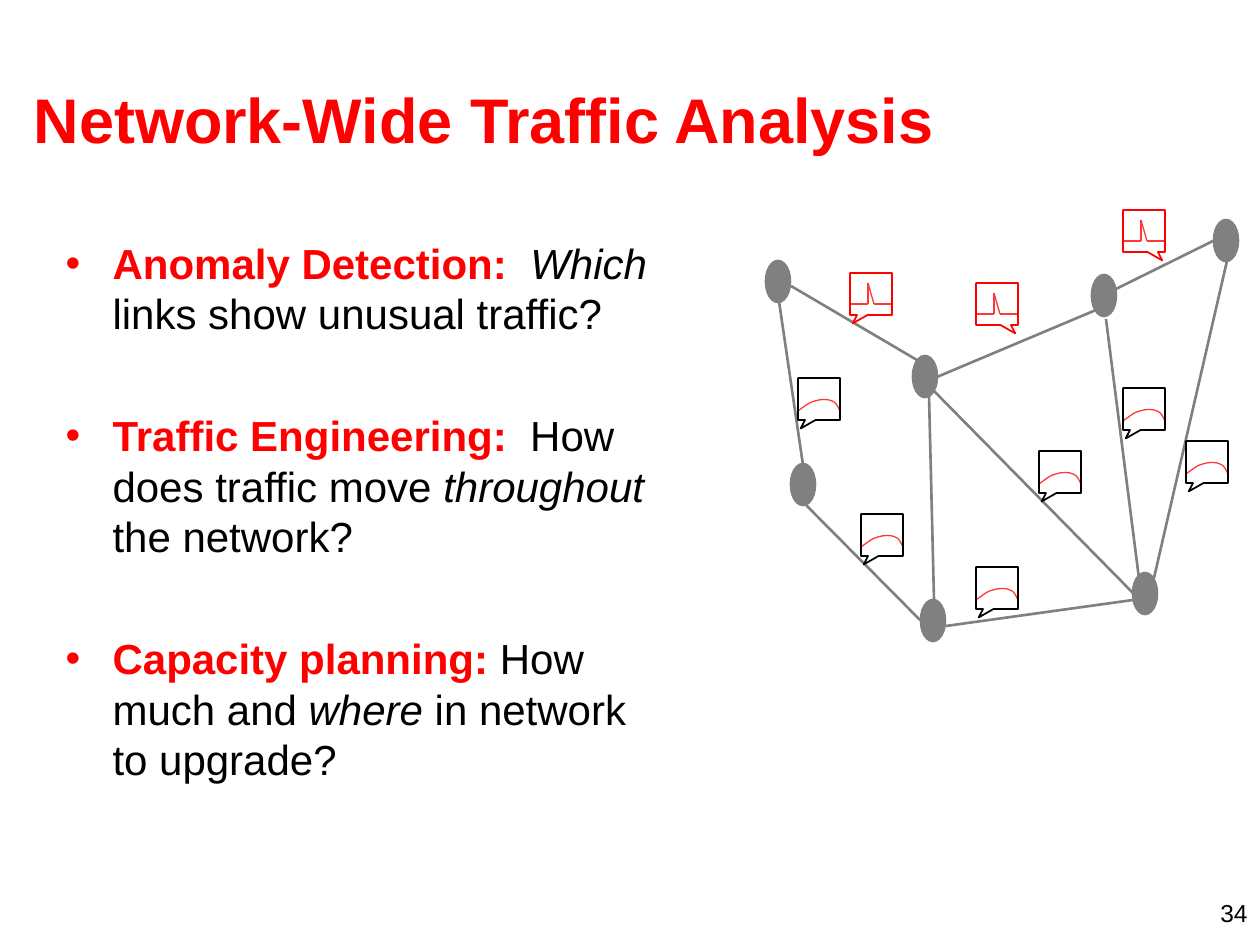
from itertools import pairwise
from typing import NamedTuple

from lxml.etree import SubElement
from pptx import Presentation
from pptx.dml.color import RGBColor
from pptx.enum.shapes import MSO_CONNECTOR as Connector, MSO_SHAPE as Shape
from pptx.enum.text import MSO_ANCHOR as Anchor, MSO_AUTO_SIZE as AutoSize, PP_ALIGN as Align
from pptx.oxml.ns import qn
from pptx.util import Emu, Pt

PX_PER_INCH = 126
FONT = "Arial"
COLORS = {"red": "FF0000", "black": "000000", "gray": "808080", "white": "FFFFFF"}
MONITOR_SIZE = 42
NODE_WIDTH, NODE_HEIGHT = 24, 41

# Traffic traces, relative to the top left corner of a monitor
SPIKE = [(0, 31), (18, 31), (18, 10), (24, 31), (42, 31)]
# A start point, then three Bezier points for each segment
CURVE = [
    (0, 33),
    (6, 29), (11, 24), (17, 23),
    (23, 21), (30, 21), (34, 23),
    (38, 24), (40, 29), (42, 33),
]


class Link(NamedTuple):
    x1: int
    y1: int
    x2: int
    y2: int


class Node(NamedTuple):
    left: int
    top: int


class Monitor(NamedTuple):
    left: int
    top: int
    anomalous: bool = False
    points_right: bool = False


class Span(NamedTuple):
    text: str
    style: str = "plain"


LINKS = [
    Link(779, 301, 803, 465), Link(806, 505, 920, 620), Link(917, 360, 791, 286),
    Link(1096, 310, 937, 377), Link(1227, 261, 1154, 578), Link(929, 394, 934, 599),
    Link(934, 391, 1133, 593), Link(1116, 289, 1213, 241), Link(1106, 319, 1140, 586),
    Link(946, 626, 1133, 600),
]
NODES = [
    Node(766, 261), Node(913, 356), Node(1092, 275), Node(1214, 220),
    Node(791, 464), Node(921, 600), Node(1133, 573),
]
MONITORS = [
    Monitor(850, 273, anomalous=True),
    Monitor(1123, 210, anomalous=True, points_right=True),
    Monitor(798, 378), Monitor(976, 567), Monitor(1123, 388),
    Monitor(1039, 451), Monitor(861, 514), Monitor(1186, 441),
    Monitor(976, 283, anomalous=True, points_right=True),
]
TOPICS = [
    [Span("Anomaly Detection:  ", "heading"), Span("Which", "italic"),
     Span(" links show unusual traffic?")],
    [Span("Traffic Engineering:", "heading"), Span("  How does traffic move "),
     Span("throughout", "italic"), Span(" the network?")],
    [Span("Capacity planning:", "heading"), Span(" How much and "),
     Span("where", "italic"), Span(" in network to upgrade?")],
]


def px(value: int) -> Emu:
    return Emu(round(value * 914400 / PX_PER_INCH))


def rgb(name: str) -> RGBColor:
    return RGBColor.from_string(COLORS[name])


def place(shape, left: int, top: int, width: int, height: int) -> None:
    shape.left, shape.top = px(left), px(top)
    shape.width, shape.height = px(width), px(height)


def set_font(font, size: int, color: str) -> None:
    font.name, font.size, font.color.rgb = FONT, Pt(size), rgb(color)


def set_line(shape, color: str, width: float) -> None:
    shape.line.color.rgb = rgb(color)
    shape.line.width = Pt(width)


def draw_line(shapes, link: Link, color: str, width: float) -> None:
    connector = shapes.add_connector(Connector.STRAIGHT, *map(px, link))
    set_line(connector, color, width)
    SubElement(connector._element.spPr, qn("a:effectLst"))


def draw_node(shapes, node: Node) -> None:
    ellipse = shapes.add_shape(Shape.OVAL, *map(px, (*node, NODE_WIDTH, NODE_HEIGHT)))
    ellipse.shadow.inherit = False
    ellipse.fill.solid()
    ellipse.fill.fore_color.rgb = rgb("gray")
    set_line(ellipse, "gray", 1.5)


def draw_network(shapes) -> None:
    group = shapes.add_group_shape().shapes
    for link in LINKS:
        draw_line(group, link, "gray", 1.5)
    for node in NODES:
        draw_node(group, node)


def draw_curve(shapes, left: int, top: int) -> None:
    points = [(px(left + x), px(top + y)) for x, y in CURVE]
    builder = shapes.build_freeform(*points[0])
    builder.add_line_segments(points[1:], close=False)
    curve = builder.convert_to_shape()
    # Join every three straight segments into one Bezier segment
    outline = next(curve._element.iter(qn("a:pathLst")))[0]
    segments = outline.findall(qn("a:lnTo"))
    for start in range(0, len(segments), 3):
        bezier = SubElement(outline, qn("a:cubicBezTo"))
        for segment in segments[start:start + 3]:
            bezier.append(segment[0])
            outline.remove(segment)
    curve.shadow.inherit = False
    curve.fill.background()
    set_line(curve, "red", 0.75)


def draw_monitor(shapes, monitor: Monitor) -> None:
    """Draw a traffic trace under a translucent callout."""
    group = shapes.add_group_shape().shapes
    left, top = monitor.left, monitor.top
    if monitor.anomalous:
        for (x1, y1), (x2, y2) in pairwise(SPIKE):
            draw_line(group, Link(left + x1, top + y1, left + x2, top + y2), "red", 0.75)
    else:
        draw_curve(group, left, top)

    callout = group.add_shape(Shape.RECTANGULAR_CALLOUT,
                              *map(px, (left, top, MONITOR_SIZE, MONITOR_SIZE)))
    callout.adjustments[0] = 0.435 if monitor.points_right else -0.435
    callout.adjustments[1] = 0.7
    callout.shadow.inherit = False
    callout.fill.solid()
    callout.fill.fore_color.rgb = rgb("white")
    color_element = callout._element.spPr.find(qn("a:solidFill"))[0]
    SubElement(color_element, qn("a:alpha"), val="22000")
    set_line(callout, "red" if monitor.anomalous else "black", 1)


def add_bullet(paragraph) -> None:
    properties = paragraph._p.get_or_add_pPr()
    properties.set("marL", str(px(47)))
    properties.set("indent", str(-px(47)))
    bullet_color = SubElement(properties, qn("a:buClr"))
    SubElement(bullet_color, qn("a:srgbClr"), val=COLORS["red"])
    SubElement(properties, qn("a:buFont"), typeface=FONT)
    SubElement(properties, qn("a:buChar"), char="•")


def write_title(title) -> None:
    place(title, 21, 39, 1207, 158)
    frame = title.text_frame
    frame.text = "Network-Wide Traffic Analysis"
    frame.auto_size, frame.vertical_anchor = AutoSize.NONE, Anchor.MIDDLE
    paragraph = frame.paragraphs[0]
    paragraph.alignment = Align.LEFT
    set_font(paragraph.font, 36, "red")
    paragraph.font.bold = True


def write_topics(body) -> None:
    place(body, 53, 231, 630, 640)
    frame = body.text_frame
    frame.auto_size = AutoSize.NONE
    for index, spans in enumerate(TOPICS):
        paragraph = frame.add_paragraph() if index else frame.paragraphs[0]
        add_bullet(paragraph)
        paragraph.space_before = Pt(41 if index else 0)
        for span in spans:
            run = paragraph.add_run()
            run.text = span.text
            heading = span.style == "heading"
            set_font(run.font, 24, "red" if heading else "black")
            run.font.bold = heading
            run.font.italic = span.style == "italic"


def write_page_number(shapes) -> None:
    frame = shapes.add_textbox(*map(px, (966, 892, 294, 32))).text_frame
    frame.word_wrap = True
    frame.text = "34"
    paragraph = frame.paragraphs[0]
    paragraph.alignment = Align.RIGHT
    set_font(paragraph.font, 14, "black")


presentation = Presentation()
presentation.slide_width, presentation.slide_height = px(1260), px(945)
slide = presentation.slides.add_slide(presentation.slide_layouts[1])
write_title(slide.shapes.title)
write_topics(slide.placeholders[1])
draw_network(slide.shapes)
for monitor in MONITORS:
    draw_monitor(slide.shapes, monitor)
write_page_number(slide.shapes)
presentation.save("out.pptx")
